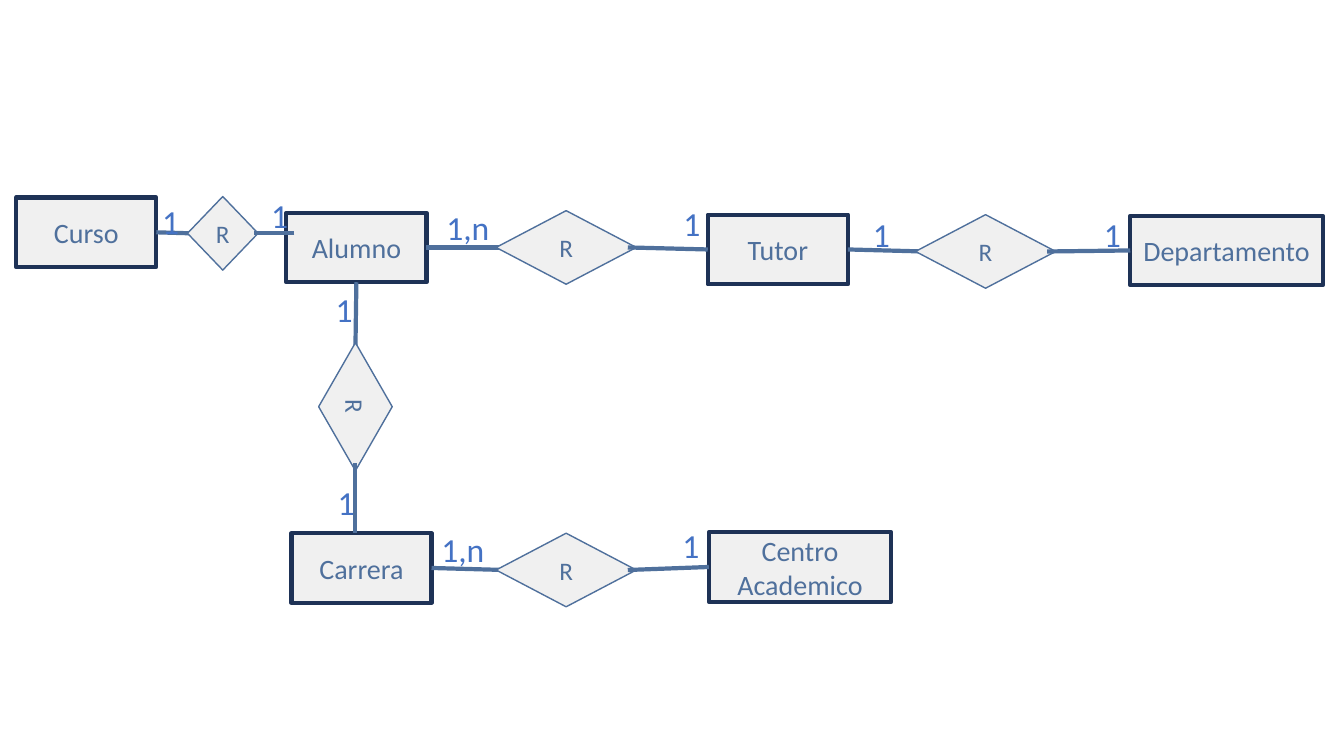
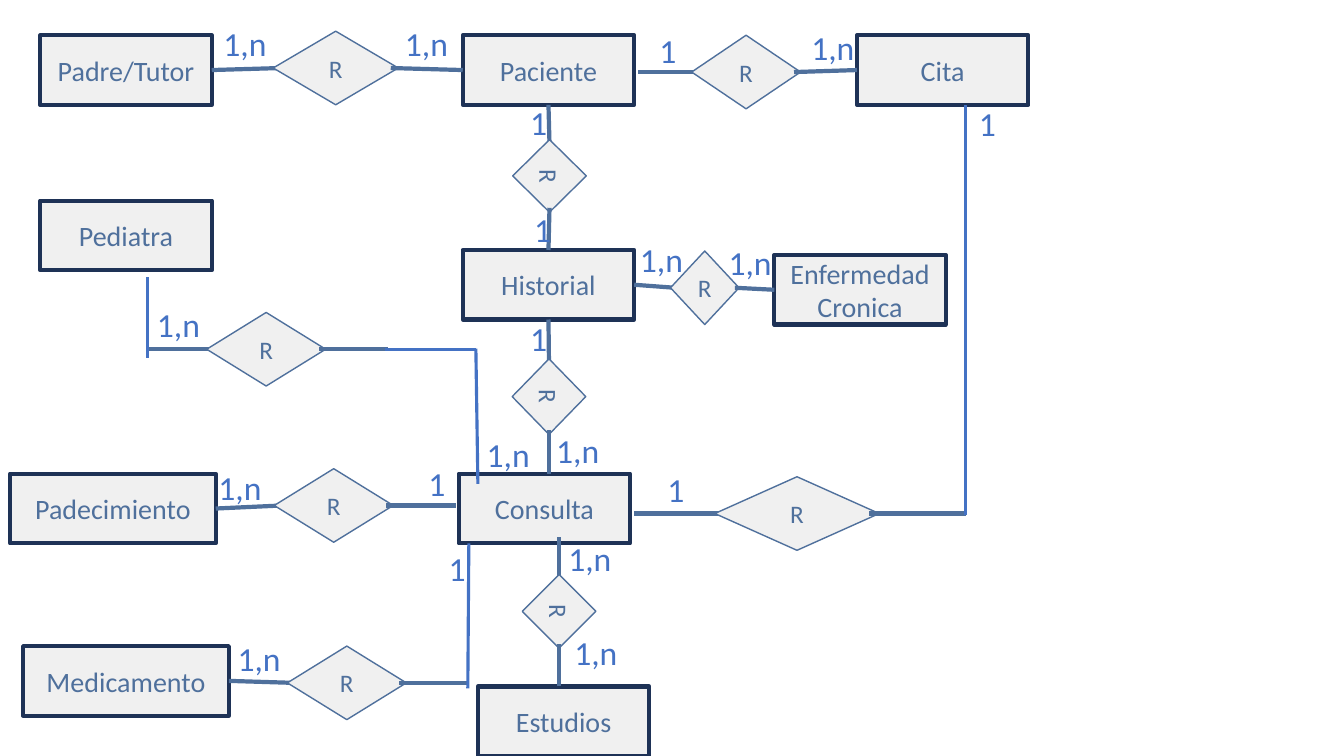
import pptx
import pptx.util
from pptx.dml.color import RGBColor
from pptx.enum.shapes import MSO_CONNECTOR, MSO_SHAPE
from pptx.enum.text import MSO_ANCHOR, MSO_AUTO_SIZE, PP_ALIGN
from pptx.oxml.ns import qn
from lxml import etree

Inches, Pt = pptx.util.Inches, pptx.util.Pt

PALE = RGBColor(0xF0, 0xF0, 0xF0)
NAVY = RGBColor(0x1E, 0x32, 0x56)
STEEL = RGBColor(0x4F, 0x70, 0x9C)
BLUE = RGBColor(0x44, 0x72, 0xC4)

ENTITY_H = 0.69
DIAMOND_H = 0.73
LAP = 0.06  # share of a diamond's length that its lines reach inside
LABEL_W = {"1": 0.28, "1,n": 0.64}

# entities: name -> left, top, width
# relations: left, top, length, turned, start, end
#   start and end are an entity, or a coordinate along the relation
# links: x1, y1, x2, y2
# labels: text, left, top
DIAGRAMS = [
    {
        "entities": {
            "Alumno": (2.84, 2.11, 1.39),
            "Tutor": (7.02, 2.13, 1.39),
            "Departamento": (11.21, 2.14, 1.91),
            "Carrera": (2.89, 5.29, 1.39),
            "Centro Academico": (7.03, 5.28, 1.81),
            "Curso": (0.16, 1.96, 1.39),
        },
        "relations": [
            (4.92, 2.09, 1.39, False, "Alumno", "Tutor"),
            (9.08, 2.13, 1.39, False, "Tutor", "Departamento"),
            (2.89, 3.67, 1.27, True, "Alumno", 5.29),
            (4.92, 5.29, 1.39, False, "Carrera", "Centro Academico"),
            (1.86, 1.95, 0.7, False, "Curso", 2.92),
        ],
        "links": [],
        "labels": [
            ("1,n", 4.32, 2), ("1", 6.68, 1.96),
            ("1", 8.56, 2.07), ("1", 10.85, 2.07),
            ("1", 3.23, 2.82), ("1", 3.25, 4.73),
            ("1,n", 4.27, 5.2), ("1", 6.67, 5.16),
            ("1", 1.51, 1.94), ("1", 2.59, 1.88),
        ],
    },
    {
        "entities": {
            "Padre/Tutor": (0.4, 0.35, 1.7),
            "Paciente": (4.59, 0.35, 1.7),
            "Cita": (8.5, 0.35, 1.7),
            "Pediatra": (0.4, 1.99, 1.7),
            "Historial": (4.59, 2.48, 1.7),
            "Enfermedad Cronica": (7.68, 2.53, 1.7),
            "Padecimiento": (0.1, 4.7, 2.04),
            "Consulta": (4.55, 4.7, 1.7),
            "Medicamento": (0.23, 6.41, 2.04),
            "Estudios": (4.74, 6.81, 1.7),
        },
        "relations": [
            (2.71, 0.31, 1.24, False, "Padre/Tutor", "Paciente"),
            (5.09, 1.38, 0.72, True, "Paciente", "Historial"),
            (6.86, 0.35, 1.08, False, 6.33, "Cita"),
            (5.07, 3.57, 0.75, True, "Historial", 4.7),
            (7.09, 4.73, 1.63, False, 6.29, 9.58),
            (5.18, 5.7, 0.73, True, 5.33, 6.81),
            (2.72, 4.65, 1.18, False, "Padecimiento", 4.52),
            (2.85, 6.41, 1.18, False, "Medicamento", 4.65),
            (2.05, 3.1, 1.18, False, 1.47, 3.85),
            (6.65, 2.49, 0.68, False, "Historial", "Enfermedad Cronica"),
        ],
        "links": [
            (9.58, 5.11, 9.58, 1.04),
            (4.64, 6.83, 4.65, 5.39),
            (1.46, 3.55, 1.46, 2.75),
            (4.72, 3.47, 3.82, 3.47),
            (4.74, 4.8, 4.72, 3.46),
        ],
        "labels": [
            ("1,n", 2.11, 0.18), ("1,n", 3.91, 0.18),
            ("1", 5.16, 0.96), ("1", 5.2, 2.02),
            ("1", 6.44, 0.25), ("1,n", 7.94, 0.22),
            ("1", 5.16, 3.1), ("1,n", 5.41, 4.22),
            ("1", 6.52, 4.6), ("1", 9.61, 0.97),
            ("1,n", 5.53, 5.29), ("1,n", 5.59, 6.22),
            ("1,n", 2.06, 4.58), ("1", 4.15, 4.54),
            ("1", 4.35, 5.39), ("1,n", 2.25, 6.28),
            ("1,n", 1.45, 2.97), ("1,n", 4.72, 4.26),
            ("1,n", 6.24, 2.32), ("1,n", 7.12, 2.35),
        ],
    },
]


def add_node(s, kind, text, box, size, line_color, line_width):
    """Add an outlined shape with centred text; box is left, top, width, height."""
    sp = s.shapes.add_shape(kind, *map(Inches, box))
    sp.shadow.inherit = False
    sp.fill.solid()
    sp.fill.fore_color.rgb = PALE
    sp.line.color.rgb = line_color
    sp.line.width = Pt(line_width)
    sp.text_frame.vertical_anchor = MSO_ANCHOR.MIDDLE
    p = sp.text_frame.paragraphs[0]
    p.text = text
    p.alignment = PP_ALIGN.CENTER
    p.font.name, p.font.size, p.font.color.rgb = "Calibri", Pt(size), STEEL
    return sp


def add_line(s, x1, y1, x2, y2, color, width):
    line = s.shapes.add_connector(
        MSO_CONNECTOR.STRAIGHT, *map(Inches, (x1, y1, x2, y2)))
    line.line.color.rgb = color
    line.line.width = Pt(width)
    etree.SubElement(line._element.spPr, qn("a:effectLst"))
    return line


prs = pptx.Presentation()
prs.slide_width, prs.slide_height = Inches(13.33), Inches(7.5)

for diagram in DIAGRAMS:
    s = prs.slides.add_slide(prs.slide_layouts[6])

    entities = {}
    for name, (x, y, w) in diagram["entities"].items():
        entities[name] = add_node(s, MSO_SHAPE.RECTANGLE, name,
                                  (x, y, w, ENTITY_H), 20, NAVY, 3)

    for x, y, length, turned, start, end in diagram["relations"]:
        cx, cy = x + length / 2, y + DIAMOND_H / 2
        middle = cy if turned else cx
        reach = length * (0.5 - LAP)
        ends = []
        for place, inner in ((start, middle - reach), (end, middle + reach)):
            outer = inner if place in entities else place
            ends.append((cx, outer, cx, inner) if turned
                        else (outer, cy, inner, cy))

        start_line = add_line(s, *ends[0], STEEL, 3)
        diamond = add_node(s, MSO_SHAPE.FLOWCHART_DECISION, "R",
                           (x, y, length, DIAMOND_H), 18, STEEL, 1)
        diamond.rotation = 90 if turned else 0
        end_line = add_line(s, *ends[1], STEEL, 3)

        if start in entities:
            start_line.begin_connect(entities[start], 2 if turned else 3)
        if end in entities:
            end_line.begin_connect(entities[end], 0 if turned else 1)

    for link in diagram["links"]:
        add_line(s, *link, BLUE, 2.25)

    for text, x, y in diagram["labels"]:
        tb = s.shapes.add_textbox(
            *map(Inches, (x, y, LABEL_W[text], 0.5)))
        tf = tb.text_frame
        tf.word_wrap = True
        tf.auto_size = MSO_AUTO_SIZE.SHAPE_TO_FIT_TEXT
        p = tf.paragraphs[0]
        p.text = text
        p.alignment = PP_ALIGN.CENTER
        p.font.name, p.font.size, p.font.color.rgb = "Calibri", Pt(24), BLUE

prs.save("out.pptx")
